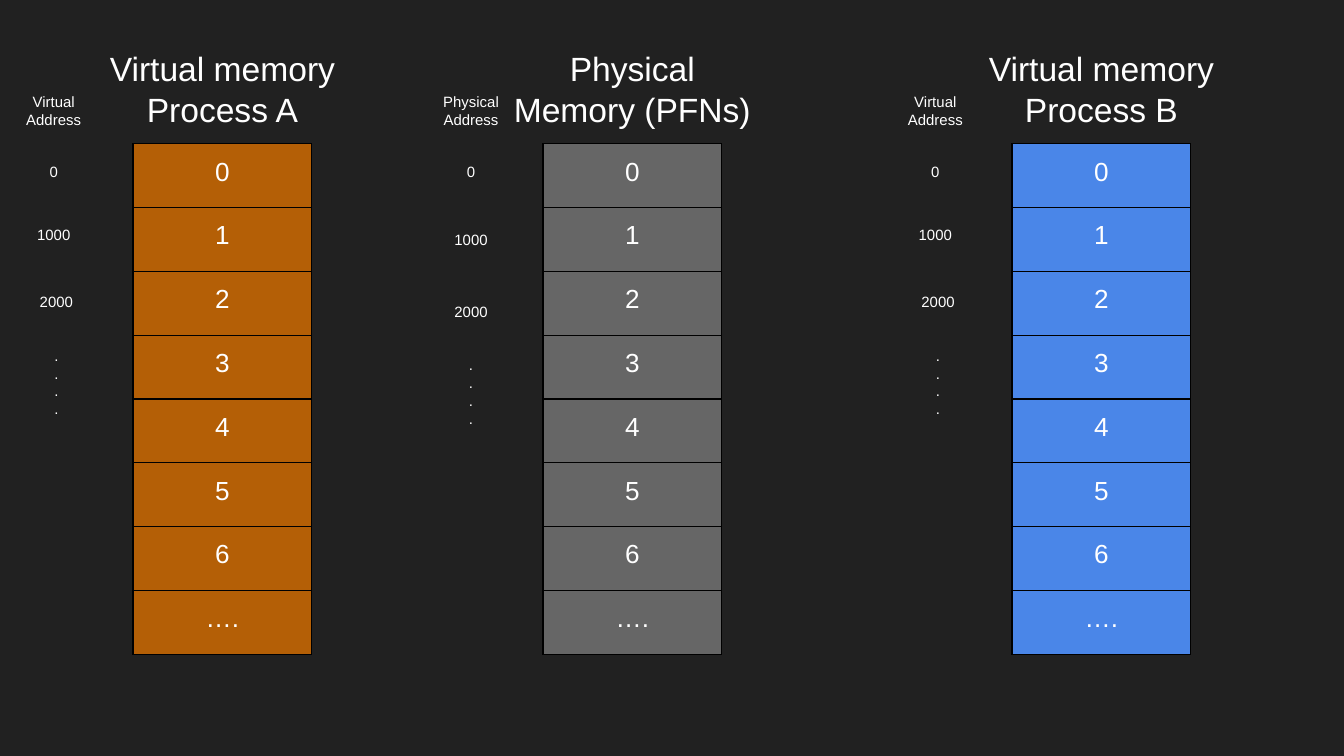
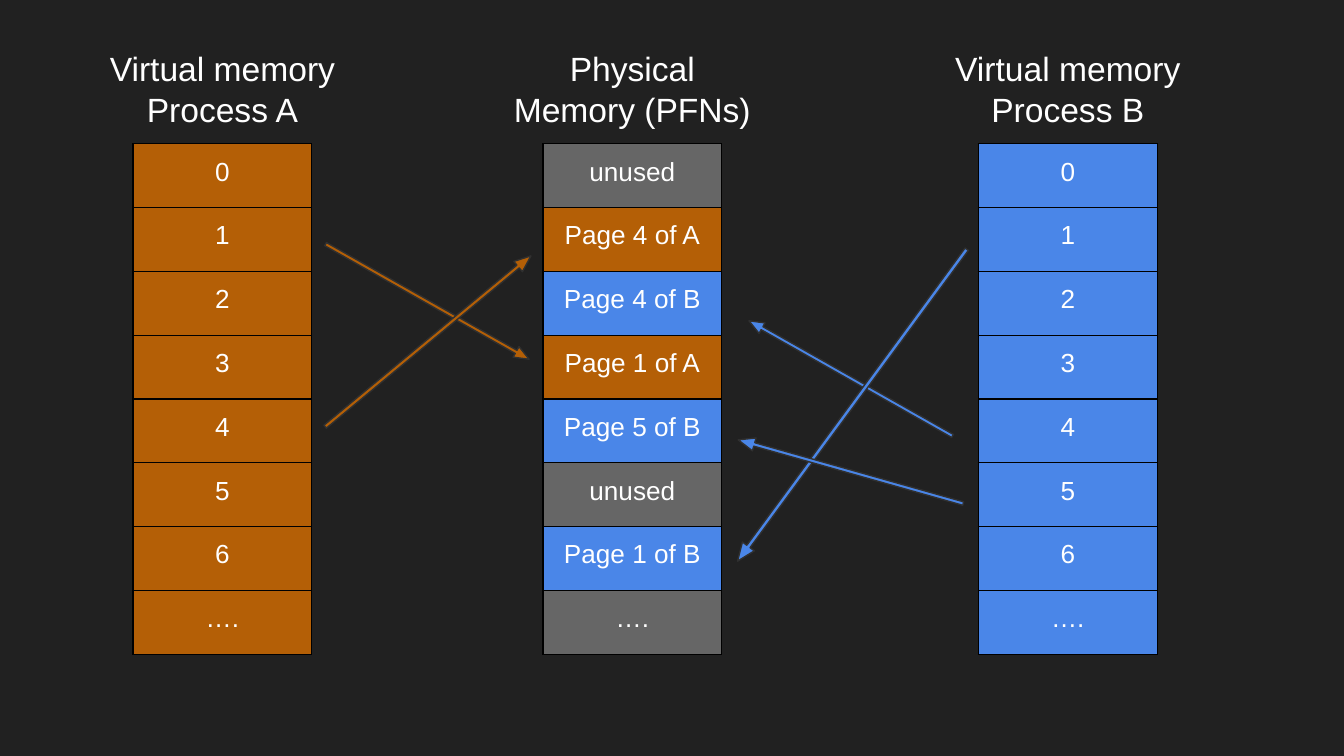
from lxml.etree import SubElement
from pptx import Presentation
from pptx.dml.color import RGBColor
from pptx.enum.shapes import MSO_SHAPE as Preset
from pptx.enum.text import MSO_AUTO_SIZE as AutoSize, PP_ALIGN as Align
from pptx.oxml.ns import qn
from pptx.util import Inches, Pt

BACKGROUND = RGBColor(0x21, 0x21, 0x21)
WHITE = RGBColor(0xFF, 0xFF, 0xFF)
BLACK = RGBColor(0x00, 0x00, 0x00)
OUTLINE = RGBColor(0x30, 0x30, 0x30)
GRAY = RGBColor(0x66, 0x66, 0x66)
ORANGE = RGBColor(0xB4, 0x5F, 0x06)
BLUE = RGBColor(0x4A, 0x86, 0xE8)

FONT = "Arial"
INSET = Inches(0.1)
LINE_WIDTH = Pt(0.75)
SLIDE_WIDTH = 10
SLIDE_HEIGHT = SLIDE_WIDTH * 9 / 16
TITLE_TOP, TITLE_HEIGHT = 0.26, 0.81
TABLE_TOP, TABLE_WIDTH, TABLE_HEIGHT = 1.07, 1.33, 3.8
ADDRESS_TOP = 0.59

PAGE_NUMBERS = ["0", "1", "2", "3", "4", "5", "6", "…."]
PROCESS_A = ["Virtual memory", "Process A"]
PROCESS_B = ["Virtual memory", "Process B"]
PHYSICAL = ["Physical Memory (PFNs)"]
FRAMES = [
    ("unused", GRAY),
    ("Page 4 of A", ORANGE),
    ("Page 4 of B", BLUE),
    ("Page 1 of A", ORANGE),
    ("Page 5 of B", BLUE),
    ("unused", GRAY),
    ("Page 1 of B", BLUE),
    ("….", GRAY),
]
MAPPINGS = [
    (2.31, 2.2, 1.74, 0.09, 29.5, 0.3, ORANGE),
    (2.19, 2.49, 1.99, 0.1, 320.3, 0.28, ORANGE),
    (5.46, 2.77, 1.74, 0.09, 209.5, 0.29, BLUE),
    (4.9, 2.96, 2.88, 0.11, 126.3, 0.27, BLUE),
    (5.46, 3.46, 1.74, 0.1, 195.8, 0.26, BLUE),
]


def write_lines(frame, lines, size):
    """Write centred white paragraphs into a text frame."""
    for index, line in enumerate(lines):
        para = frame.add_paragraph() if index else frame.paragraphs[0]
        para.alignment = Align.CENTER
        span = para.add_run()
        span.text = line
        span.font.name = FONT
        span.font.size = Pt(size)
        span.font.color.rgb = WHITE


def add_label(page, left, top, width, height, lines, size):
    """Add a wrapped text box and return its text frame."""
    box = page.shapes.add_textbox(
        Inches(left), Inches(top), Inches(width), Inches(height))
    frame = box.text_frame
    frame.word_wrap = True
    frame.auto_size = AutoSize.SHAPE_TO_FIT_TEXT
    frame.margin_left = frame.margin_right = INSET
    frame.margin_top = frame.margin_bottom = INSET
    write_lines(frame, lines, size)
    return frame


def add_borders(cell):
    """Draw a thin black line on every side of a cell."""
    properties = cell._tc.get_or_add_tcPr()
    for side in ("a:lnL", "a:lnR", "a:lnT", "a:lnB"):
        line = SubElement(properties, qn(side), w=str(LINE_WIDTH))
        fill = SubElement(line, qn("a:solidFill"))
        SubElement(fill, qn("a:srgbClr"), val=str(BLACK))


def add_memory(page, left, title, title_width, cells):
    """Add a memory table with its title centred above it."""
    title_left = left + (TABLE_WIDTH - title_width) / 2
    add_label(page, title_left, TITLE_TOP, title_width, TITLE_HEIGHT, title, 18)
    table = page.shapes.add_table(
        len(cells), 1, Inches(left), Inches(TABLE_TOP),
        Inches(TABLE_WIDTH), Inches(TABLE_HEIGHT)).table
    table.first_row = table.horz_banding = False
    for row, (text, color) in enumerate(cells):
        cell = table.cell(row, 0)
        cell.margin_left = cell.margin_right = INSET
        cell.margin_top = cell.margin_bottom = INSET
        add_borders(cell)
        cell.fill.solid()
        cell.fill.fore_color.rgb = color
        write_lines(cell.text_frame, [text], 14)


def add_addresses(page, left, width, heading, height, tops, shift=0):
    """Add the address heading, three addresses and trailing dots."""
    second_top, third_top = tops
    add_label(page, left, ADDRESS_TOP, width, height, heading, 8)
    first_left = left + (width - 0.8) / 2
    add_label(page, first_left, 1.14, 0.8, 0.34, ["0"], 8)
    add_label(page, left, second_top, width, 0.34, ["1000"], 8)
    frame = add_label(page, left + shift, third_top, width, 1.16,
                      ["2000", *"...."], 8)
    frame.paragraphs[1].space_before = Pt(19)


def add_mapping(page, left, top, width, height, angle, shaft, color):
    """Add a rotated thin arrow between a virtual page and its frame."""
    arrow = page.shapes.add_shape(
        Preset.RIGHT_ARROW, Inches(left), Inches(top),
        Inches(width), Inches(height))
    arrow.rotation = angle
    arrow.adjustments[0] = shaft
    arrow.adjustments[1] = 1.24
    arrow.shadow.inherit = False
    arrow.fill.solid()
    arrow.fill.fore_color.rgb = color
    arrow.line.color.rgb = OUTLINE
    arrow.line.width = LINE_WIDTH


def numbered(color):
    """Return the page number cells in one colour."""
    return [(number, color) for number in PAGE_NUMBERS]


def add_memories(deck, frames, process_b_left):
    """Add a dark slide with the three memory columns."""
    page = deck.slides.add_slide(deck.slide_layouts[6])
    page.background.fill.solid()
    page.background.fill.fore_color.rgb = BACKGROUND
    add_memory(page, 4.04, PHYSICAL, 2.05, frames)
    add_memory(page, 0.99, PROCESS_A, 1.91, numbered(ORANGE))
    add_memory(page, process_b_left, PROCESS_B, 1.91, numbered(BLUE))
    return page


def build_address_slide(deck):
    """Build the slide that shows addresses beside each memory."""
    page = add_memories(deck, numbered(GRAY), 7.53)
    for left in (0, 6.56):
        add_addresses(page, left, 0.8, ["Virtual Address"], 0.61,
                      (1.61, 2.08), 0.02)
    add_addresses(page, 2.97, 1.07, ["Physical", "Address"], 0.48,
                  (1.65, 2.15))


def build_mapping_slide(deck):
    """Build the slide that maps virtual pages to physical frames."""
    page = add_memories(deck, FRAMES, 7.28)
    for mapping in MAPPINGS:
        add_mapping(page, *mapping)


def main():
    """Build and save the deck."""
    deck = Presentation()
    deck.slide_width = Inches(SLIDE_WIDTH)
    deck.slide_height = Inches(SLIDE_HEIGHT)
    build_address_slide(deck)
    build_mapping_slide(deck)
    deck.save("out.pptx")


if __name__ == "__main__":
    main()
